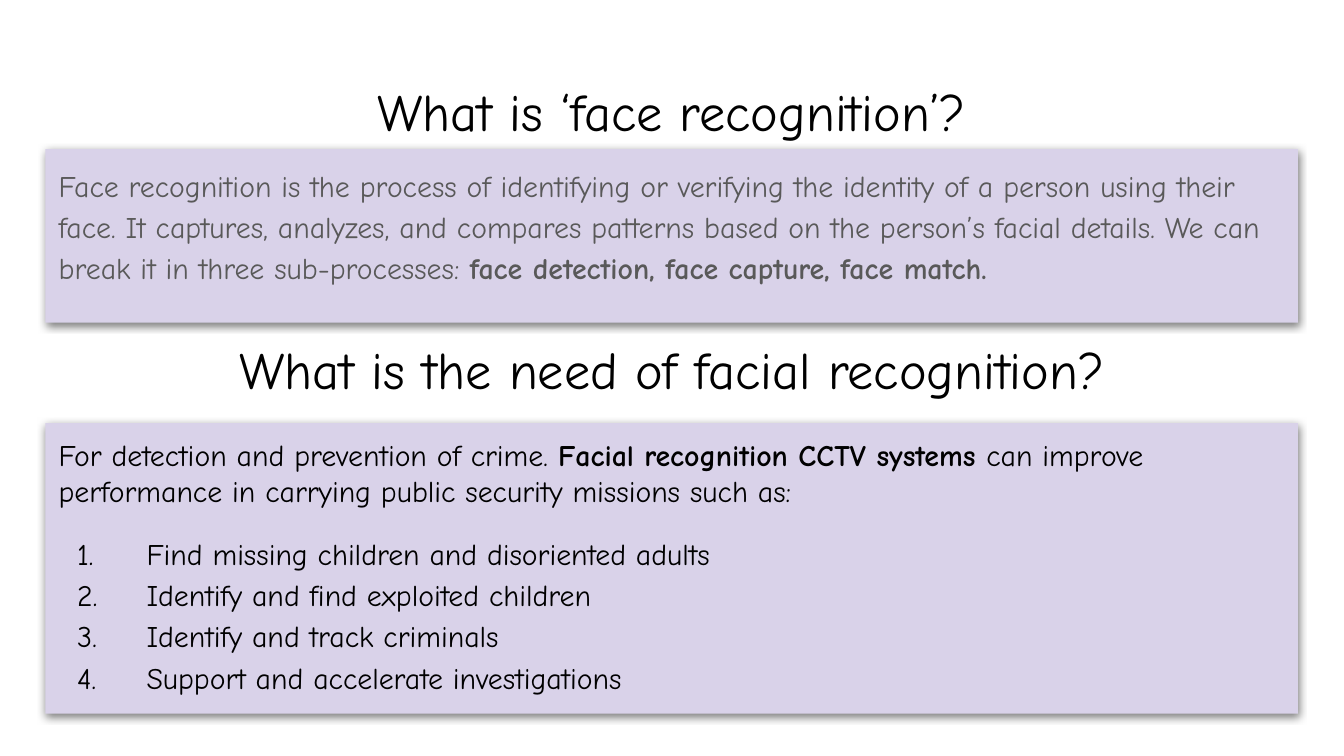
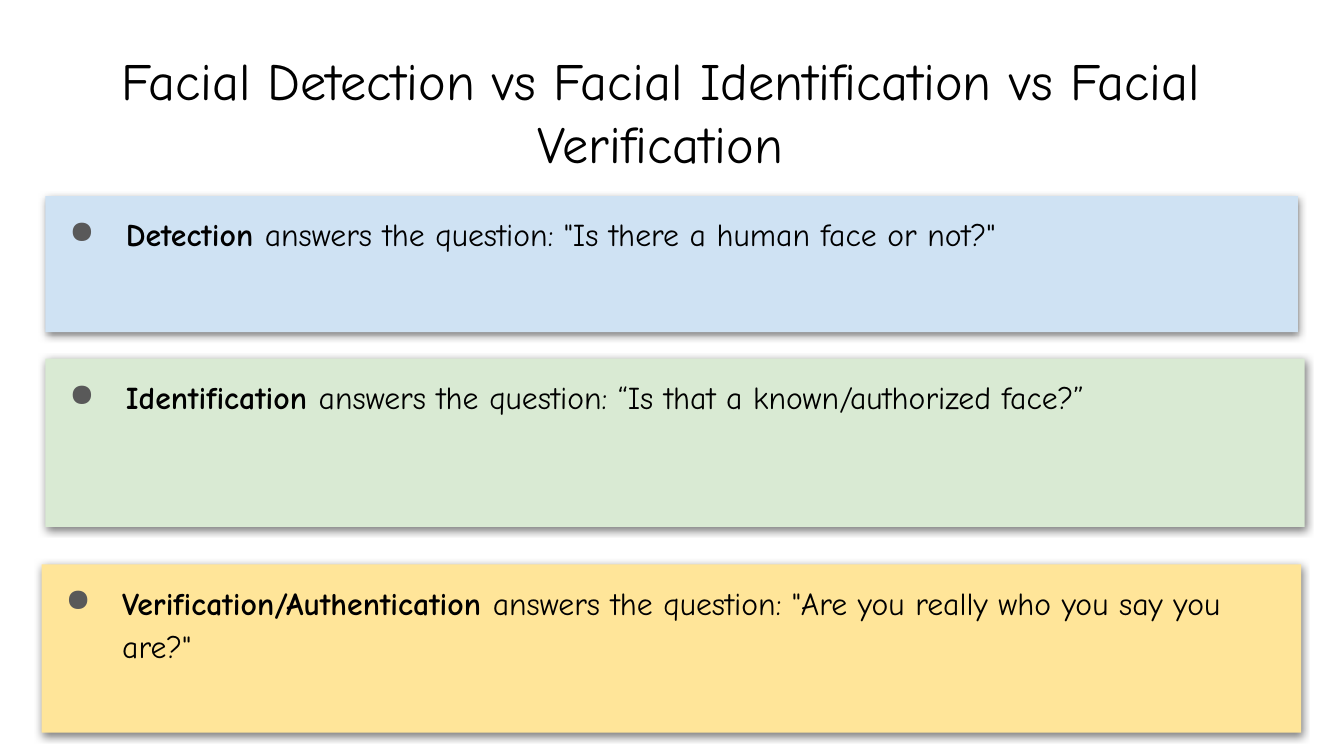
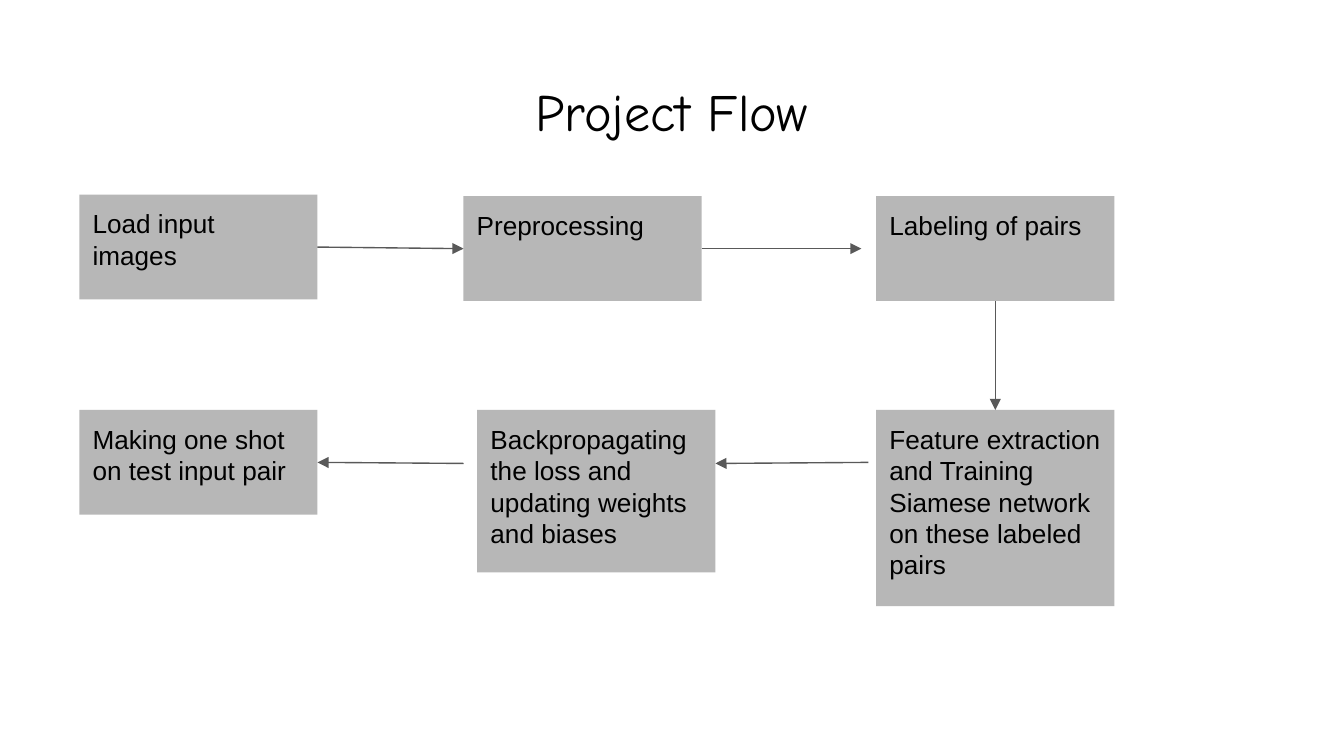
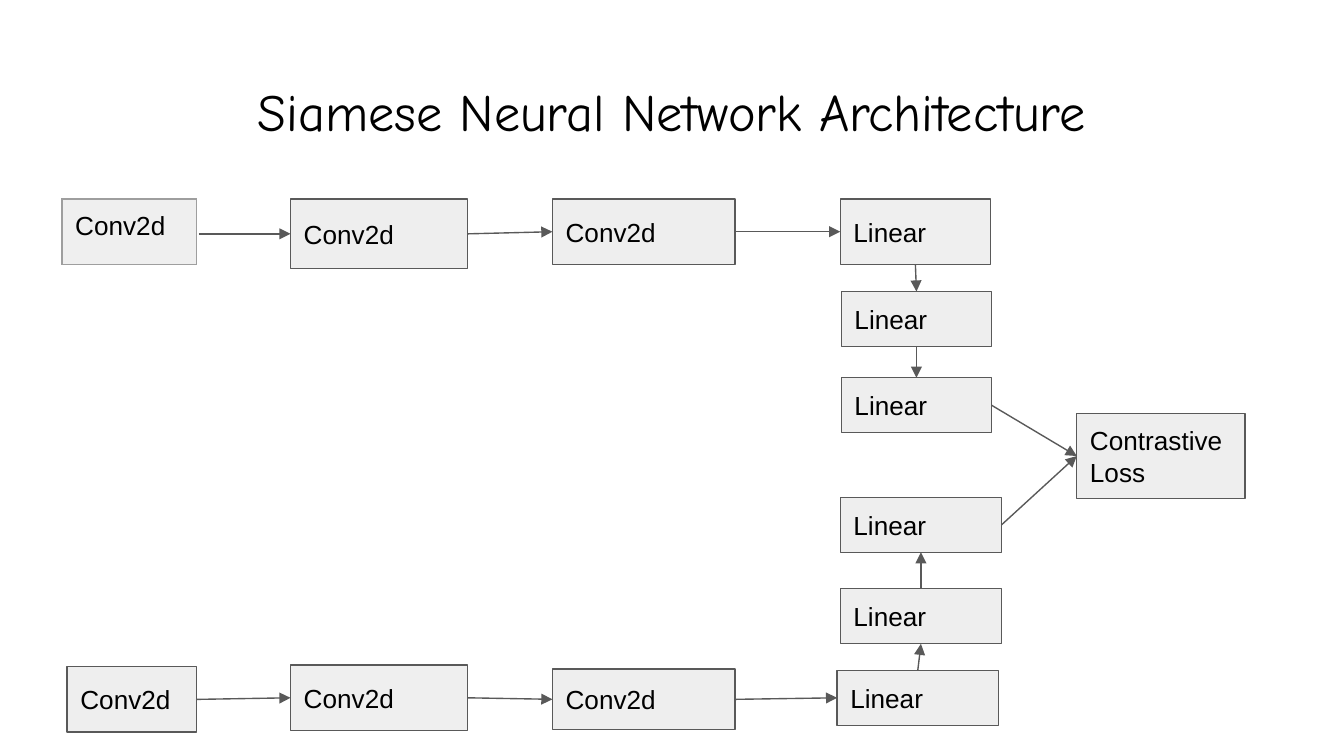
from lxml.etree import SubElement
from pptx import Presentation
from pptx.dml.color import RGBColor as Rgb
from pptx.enum.shapes import MSO_CONNECTOR as Link, MSO_SHAPE as Shape
from pptx.enum.text import MSO_ANCHOR as Anchor, PP_ALIGN as Align
from pptx.oxml.ns import qn
from pptx.util import Cm, Pt

COLORS = {
    "ink": "000000", "gray": "595959", "lilac": "D9D2E9", "sky": "CFE2F3",
    "mint": "D9EAD3", "honey": "FFE599", "step": "B7B7B7", "layer": "EEEEEE",
    "first_layer": "EFEFEF", "cell_border": "9E9E9E",
}
HAND, SANS = "Comic Neue", "Arial"
TITLE_BOX = (0.86, 1.24, 23.67, 1.6)
MARGINS = dict.fromkeys(("margin_left", "margin_top", "margin_right", "margin_bottom"), Cm(0.25))
TOP, LEFT, BOTTOM, RIGHT = 0, 1, 2, 3
NUMBER = ("a:buAutoNum", {"type": "arabicPeriod"}, "ink", 1.66, -1.31)
DOT = ("a:buChar", {"char": "●"}, "gray", 1.27, -1.07)


def color(name):
    """Return the named colour."""
    return Rgb.from_string(COLORS[name])


def apply(target, values):
    """Set every attribute in values on target."""
    for name, value in values.items():
        setattr(target, name, value)


def add_xml(parent, tag, **attributes):
    """Append a drawing element to parent."""
    return SubElement(parent, qn(tag), attributes)


def add_solid(parent, name):
    """Append a solid colour fill to parent."""
    add_xml(add_xml(parent, "a:solidFill"), "a:srgbClr", val=COLORS[name])


def add_bullet(paragraph, bullet):
    """Give a paragraph its hanging bullet or number."""
    tag, attributes, tint, margin, indent = bullet
    properties = paragraph._p.get_or_add_pPr()
    properties.set("marL", str(Cm(margin)))
    properties.set("indent", str(Cm(indent)))
    add_xml(add_xml(properties, "a:buClr"), "a:srgbClr", val=COLORS[tint])
    add_xml(properties, tag, **attributes)


def write(frame, paragraphs, size, face=HAND, tint="ink", anchor=Anchor.TOP):
    """Fill a text frame with (runs, format, bullet) paragraphs."""
    apply(frame, {"word_wrap": True, "vertical_anchor": anchor, **MARGINS})
    for number, (runs, layout, bullet) in enumerate(paragraphs):
        paragraph = frame.add_paragraph() if number else frame.paragraphs[0]
        if bullet:
            add_bullet(paragraph, bullet)
        apply(paragraph, {"alignment": Align.LEFT, **layout})
        for words, bold in runs:
            run = paragraph.add_run()
            run.text = words
            apply(run.font, {"size": Pt(size), "name": face, "bold": bold})
            run.font.color.rgb = color(tint)


def add_title(slide, words, box=TITLE_BOX):
    """Write a centred heading in the box."""
    heading = slide.shapes.add_textbox(*map(Cm, box))
    write(heading.text_frame, [([(words, False)], {"alignment": Align.CENTER}, None)], 28)


def add_rectangle(slide, box, fill, outline=None):
    """Draw a flat rectangle."""
    rectangle = slide.shapes.add_shape(Shape.RECTANGLE, *map(Cm, box))
    rectangle.shadow.inherit = False
    rectangle.fill.solid()
    rectangle.fill.fore_color.rgb = color(fill)
    if outline:
        rectangle.line.color.rgb = color(outline)
        rectangle.line.width = Pt(0.75)
    else:
        rectangle.line.fill.background()
    return rectangle


def add_panel(slide, box, fill, paragraphs, size, tint="ink"):
    """Draw a text panel with a soft shadow below."""
    panel = add_rectangle(slide, box, fill)
    effects = panel.element.spPr.find(qn("a:effectLst"))
    shadow = add_xml(effects, "a:outerShdw", blurRad=str(Pt(4.5)), dist=str(Pt(1.5)),
                     dir="5400000", algn="bl", rotWithShape="0")
    shade = add_xml(shadow, "a:srgbClr", val=COLORS["ink"])
    add_xml(shade, "a:alpha", val="50000")
    write(panel.text_frame, paragraphs, size, tint=tint)


def add_nodes(slide, origin, nodes, anchor, outline=None):
    """Place labelled (text, box, fill) nodes from the origin and return them by key."""
    placed = {}
    for key, (label, (x, y, width, height), fill) in nodes.items():
        node = add_rectangle(slide, (origin[0] + x, origin[1] + y, width, height), fill, outline)
        write(node.text_frame, [([(label, False)], {}, None)], 14, SANS, anchor=anchor)
        placed[key] = node
    return placed


def add_arrows(slide, origin, nodes, arrows):
    """Draw arrows whose ends are (node, side) or (x, y) from the origin."""
    for ends in arrows:
        points = [(0, 0) if end[0] in nodes else (Cm(origin[0] + end[0]), Cm(origin[1] + end[1]))
                  for end in ends]
        arrow = slide.shapes.add_connector(Link.STRAIGHT, *points[0], *points[1])
        for (place, side), connect in zip(ends, (arrow.begin_connect, arrow.end_connect)):
            if place in nodes:
                connect(nodes[place], side)
        arrow.line.color.rgb = color("gray")
        arrow.line.width = Pt(0.75)
        add_xml(arrow.line._get_or_add_ln(), "a:tailEnd", type="triangle")
        add_xml(arrow.element.spPr, "a:effectLst")


def add_layer_cell(slide, box, label):
    """Draw the one-cell table that opens the upper branch."""
    table = slide.shapes.add_table(1, 1, *map(Cm, box)).table
    cell = table.cell(0, 0)
    write(cell.text_frame, [([(label, False)], {}, None)], 14, SANS)
    apply(cell, {"vertical_anchor": Anchor.TOP, **MARGINS})
    properties = cell._tc.get_or_add_tcPr()
    for side in "LRTB":
        add_solid(add_xml(properties, f"a:ln{side}", w=str(Pt(0.75))), "cell_border")
    cell.fill.solid()
    cell.fill.fore_color.rgb = color("first_layer")


def build_definition(slide):
    """Explain what face recognition is and why it is needed."""
    add_title(slide, "What is ‘face recognition’?")
    definition = [
        ("Face recognition is the process of identifying or verifying the identity of a person "
         "using their face. It captures, analyzes, and compares patterns based on the person’s "
         "facial details. We can break it in three sub-processes: ", False),
        ("face detection, face capture, face match.", True),
    ]
    add_panel(slide, (0.86, 2.82, 23.67, 3.28), "lilac",
              [(definition, {"line_spacing": 1.15, "space_after": Pt(16)}, None)], 16, "gray")
    need = [
        ("For detection and prevention of crime. ", False),
        ("Facial recognition CCTV systems ", True),
        ("can improve performance in carrying public security missions such as:", False),
    ]
    missions = ["Find missing children and disoriented adults", "Identify and find exploited children",
                "Identify and track criminals", "Support and accelerate investigations"]
    listed = [([(mission, False)],
               {"line_spacing": 1.15, "space_before": Pt(0 if number else 12)}, NUMBER)
              for number, mission in enumerate(missions)]
    add_panel(slide, (0.86, 8, 23.67, 5.49), "lilac", [(need, {}, None), *listed], 16)
    add_title(slide, "What is the need of facial recognition?", (0.86, 6.12, 23.67, 1.9))


def build_comparison(slide):
    """Set the three questions against each other."""
    add_title(slide, "Facial Detection vs Facial Identification vs Facial Verification",
              (0.86, 0.66, 23.24, 2.57))
    questions = [
        ("Detection", '"Is there a human face or not?"', "sky", (0.86, 3.71, 23.67, 2.57)),
        ("Identification", "“Is that a known/authorized face?”", "mint", (0.86, 6.78, 23.8, 3.18)),
        ("Verification/Authentication", '"Are you really who you say you are?"', "honey",
         (0.79, 10.67, 23.8, 3.18)),
    ]
    for task, question, fill, box in questions:
        runs = [(f"{task} ", True), (f"answers the question: {question}", False)]
        add_panel(slide, box, fill, [(runs, {"line_spacing": 1.15}, DOT)], 17)


def build_flow(slide, origin=(1.5, 3.68)):
    """Draw the project steps, there and back."""
    add_title(slide, "Project Flow")
    steps = {
        "load": ("Load input images", 0, 0, 1.98),
        "prepare": ("Preprocessing", 7.26, 0.03, 1.98),
        "label": ("Labeling of pairs", 15.06, 0.03, 1.98),
        "train": ("Feature extraction and Training Siamese network on these labeled pairs",
                  15.06, 4.07, 3.71),
        "update": ("Backpropagating the loss and updating weights and biases", 7.52, 4.07, 3.07),
        "test": ("Making one shot on test input pair", 0, 4.07, 1.98),
    }
    nodes = add_nodes(slide, origin, {key: (label, (x, y, 4.5, height), "step")
                                      for key, (label, x, y, height) in steps.items()}, Anchor.TOP)
    add_arrows(slide, origin, nodes, [
        (("load", RIGHT), ("prepare", LEFT)),
        (("prepare", RIGHT), (14.78, 1.02)),
        (("label", BOTTOM), ("train", TOP)),
        ((14.91, 5.06), (12.02, 5.08)),
        ((7.26, 5.08), ("test", RIGHT)),
    ])


def build_architecture(slide, origin=(1.17, 3.76)):
    """Draw the twin branches that meet in the loss."""
    add_title(slide, "Siamese Neural Network Architecture")
    add_layer_cell(slide, (*origin, 2.54, 1.24), "Conv2d")
    layers = {
        "upper_conv2": ("Conv2d", (4.32, 0, 3.35, 1.32), "layer"),
        "upper_conv3": ("Conv2d", (9.27, 0, 3.45, 1.24), "layer"),
        "upper_linear1": ("Linear", (14.71, 0, 2.84, 1.24), "first_layer"),
        "upper_linear2": ("Linear", (14.73, 1.75, 2.84, 1.04), "layer"),
        "upper_linear3": ("Linear", (14.73, 3.38, 2.84, 1.04), "layer"),
        "lower_conv1": ("Conv2d", (0.1, 8.84, 2.44, 1.24), "layer"),
        "lower_conv2": ("Conv2d", (4.32, 8.81, 3.35, 1.24), "first_layer"),
        "lower_conv3": ("Conv2d", (9.27, 8.89, 3.45, 1.14), "layer"),
        "lower_linear1": ("Linear", (14.65, 8.91, 3.05, 1.04), "layer"),
        "lower_linear2": ("Linear", (14.71, 7.37, 3.05, 1.04), "layer"),
        "lower_linear3": ("Linear", (14.71, 5.64, 3.05, 1.04), "layer"),
        "loss": ("Contrastive Loss", (19.18, 4.06, 3.18, 1.6), "layer"),
    }
    nodes = add_nodes(slide, origin, layers, Anchor.MIDDLE, "gray")
    arrows = [((2.59, 0.66), ("upper_conv2", LEFT)),
              (("lower_conv1", RIGHT), ("lower_conv2", LEFT))]
    for branch, leave, enter in (("upper", BOTTOM, TOP), ("lower", TOP, BOTTOM)):
        arrows += [
            ((f"{branch}_conv2", RIGHT), (f"{branch}_conv3", LEFT)),
            ((f"{branch}_conv3", RIGHT), (f"{branch}_linear1", LEFT)),
            ((f"{branch}_linear1", leave), (f"{branch}_linear2", enter)),
            ((f"{branch}_linear2", leave), (f"{branch}_linear3", enter)),
            ((f"{branch}_linear3", RIGHT), ("loss", LEFT)),
        ]
    add_arrows(slide, origin, nodes, arrows)


def main():
    """Build the deck and save it."""
    deck = Presentation()
    apply(deck, {"slide_width": Cm(25.4), "slide_height": Cm(14.29)})
    for build in (build_definition, build_comparison, build_flow, build_architecture):
        build(deck.slides.add_slide(deck.slide_layouts[6]))
    deck.save("out.pptx")


if __name__ == "__main__":
    main()
